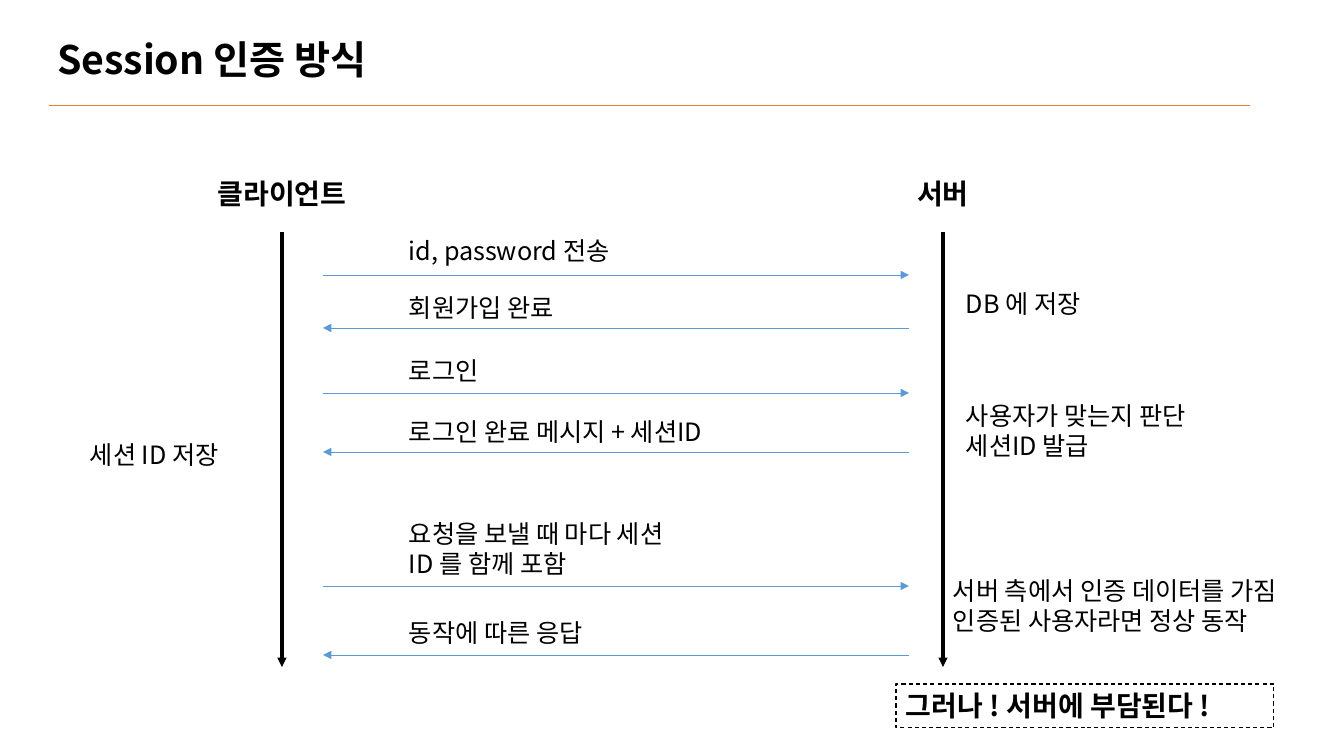
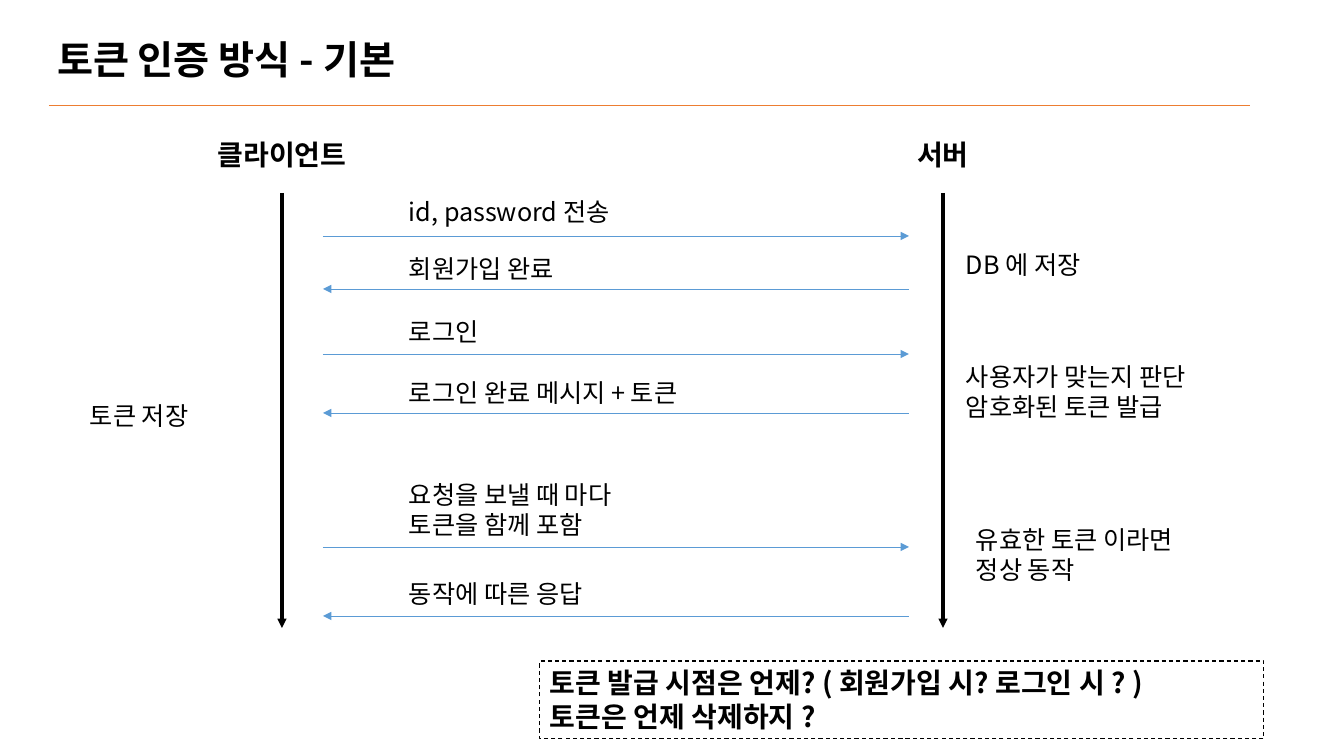
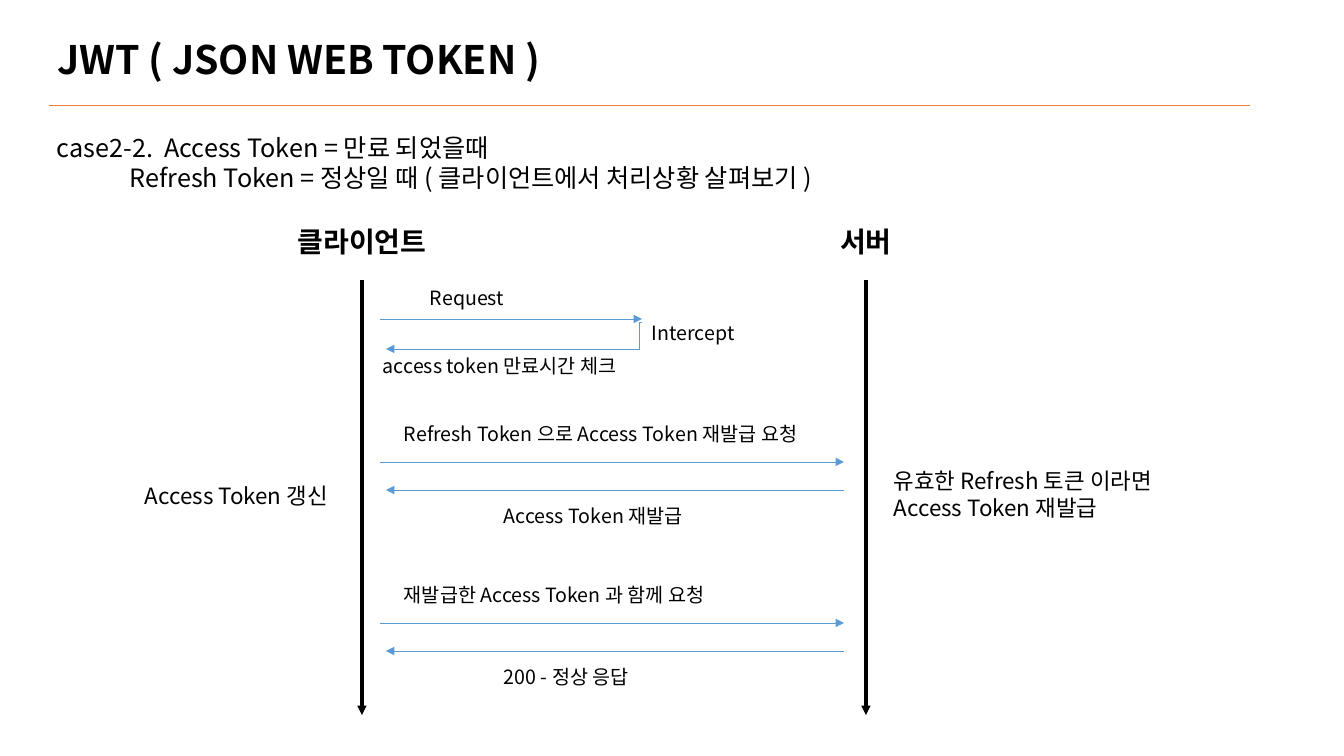
from lxml import etree
from pptx import Presentation
from pptx.dml.color import RGBColor
from pptx.enum.dml import MSO_LINE
from pptx.enum.shapes import MSO_CONNECTOR, MSO_SHAPE
from pptx.enum.text import MSO_ANCHOR, MSO_AUTO_SIZE, PP_ALIGN
from pptx.oxml.ns import qn
from pptx.util import Emu, Pt

STRAIGHT, ELBOW = MSO_CONNECTOR.STRAIGHT, MSO_CONNECTOR.ELBOW
LEFT, CENTER = PP_ALIGN.LEFT, PP_ALIGN.CENTER
TOP = MSO_ANCHOR.TOP
GROW, FIXED = MSO_AUTO_SIZE.SHAPE_TO_FIT_TEXT, MSO_AUTO_SIZE.NONE
RECTANGLE = MSO_SHAPE.RECTANGLE
DASH = MSO_LINE.DASH

EMU_PER_PIXEL = 914400 / 100.8
FONT = "Noto Sans CJK KR"
BLACK, BLUE, ORANGE = "000000", "5B9BD5", "ED7D31"
TITLE_ONLY = 5
LINE_HEIGHTS = {14: 34, 16: 37, 18: 40, 20: 44}
HEADER_WIDTH = 236

# Login flow: lifelines, arrow ends, and each message as
# (arrow offset, text offset, text width), measured from the header top.
CLIENT_X, SERVER_X = 282, 943
ARROW_LEFT, ARROW_RIGHT = 323, 909
MESSAGE_X, NOTE_X = 399, 956
MESSAGE_ROWS = [(103, 58, 280), (156, 115, 247), (221, 178, 280),
                (280, 239, 380), (414, 341, 280), (483, 440, 380)]


def px(value):
    """Turn pixels into EMU."""
    return Emu(round(value * EMU_PER_PIXEL))


def color(code):
    """Turn a hex string into a colour."""
    return RGBColor.from_string(code)


def write(frame, text, size=18, bold=False, align=LEFT, fit=GROW, indent=0):
    """Fill a text frame, one paragraph a line; indent moves later lines."""
    frame.word_wrap = True
    frame.auto_size = fit
    frame.vertical_anchor = TOP
    for index, line in enumerate(text.split("\n")):
        para = frame.add_paragraph() if index else frame.paragraphs[0]
        para.alignment = align
        if index and indent:
            para._p.get_or_add_pPr().set("marL", str(px(indent)))
        span = para.add_run()
        span.text = line
        span.font.size = Pt(size)
        span.font.bold = bold
        span.font.color.rgb = color(BLACK)
        span.font.name = FONT
        properties = span._r.get_or_add_rPr()
        etree.SubElement(properties, qn("a:ea")).set("typeface", FONT)


def add_text(page, text, left, top, width, size=18, **style):
    """Add a text box as high as its lines need."""
    lines = text.count("\n")
    height = LINE_HEIGHTS[size] + lines * size * 1.7
    box = page.shapes.add_textbox(px(left), px(top), px(width), px(height))
    write(box.text_frame, text, size=size, **style)


def add_line(page, start, end, code=BLUE, weight=0.5, arrow=True, kind=STRAIGHT):
    """Add a line, with an arrowhead at its end unless told otherwise."""
    line = page.shapes.add_connector(kind, *map(px, start + end))
    line.line.color.rgb = color(code)
    line.line.width = Pt(weight)
    if arrow:
        outline = line.line._get_or_add_ln()
        etree.SubElement(outline, qn("a:tailEnd")).set("type", "triangle")
    etree.SubElement(line._element.spPr, qn("a:effectLst"))
    return line


def add_return_arrow(page, start, end, bend):
    """Add an elbow arrow that turns after the given share of its width."""
    line = add_line(page, start, end, kind=ELBOW)
    geometry = line._element.spPr.find(qn("a:prstGeom"))
    guides = geometry.find(qn("a:avLst"))
    if guides is None:
        guides = etree.SubElement(geometry, qn("a:avLst"))
    guide = etree.SubElement(guides, qn("a:gd"))
    guide.set("name", "adj1")
    guide.set("fmla", f"val {round(bend * 100000)}")


def add_page(deck, title):
    """Add a slide with its title and the orange rule below it."""
    page = deck.slides.add_slide(deck.slide_layouts[TITLE_ONLY])
    head = page.shapes.title
    head.left, head.top, head.width, head.height = map(px, (47, 30, 961, 57))
    write(head.text_frame, title, size=28, bold=True, fit=FIXED)
    add_line(page, (49, 105), (1250, 105), code=ORANGE, arrow=False)
    return page


def add_lifelines(page, top, client_x, server_x):
    """Add the two named time lines."""
    for name, x in (("클라이언트", client_x), ("서버", server_x)):
        add_text(page, name, x - HEADER_WIDTH / 2, top, HEADER_WIDTH,
                 size=20, bold=True, align=CENTER)
        add_line(page, (x, top + 60), (x, top + 495), code=BLACK, weight=2.25)


def add_login_flow(page, top, login_reply, request, issue, stored):
    """Add sign-up, login and request messages between client and server."""
    add_lifelines(page, top, CLIENT_X, SERVER_X)
    messages = ["id, password 전송", "회원가입 완료", "로그인",
                login_reply, request, "동작에 따른 응답"]
    for index, (text, row) in enumerate(zip(messages, MESSAGE_ROWS)):
        arrow, text_top, width = row
        ends = [(ARROW_LEFT, top + arrow), (ARROW_RIGHT, top + arrow)]
        if index % 2:
            ends.reverse()
        add_line(page, *ends)
        add_text(page, text, MESSAGE_X, top + text_top, width)
    add_text(page, "DB 에 저장", NOTE_X, top + 111, 232)
    add_text(page, "사용자가 맞는지 판단\n" + issue, NOTE_X, top + 223, 308)
    add_text(page, stored, 80, top + 262, 179)


def add_remark(page, text, left, top, width, height):
    """Add a bold remark in a dashed frame."""
    box = page.shapes.add_shape(RECTANGLE, *map(px, (left, top, width, height)))
    box.shadow.inherit = False
    box.fill.background()
    box.line.color.rgb = color(BLACK)
    box.line.width = Pt(0.75)
    box.line.dash_style = DASH
    write(box.text_frame, text, size=20, bold=True)


def build_session(deck):
    """Build the session slide."""
    page = add_page(deck, "Session 인증 방식")
    add_login_flow(page, 172, "로그인 완료 메시지 + 세션ID",
                   "요청을 보낼 때 마다 세션 ID 를 함께 포함",
                   "세션ID 발급", "세션 ID 저장")
    add_text(page, "서버 측에서 인증 데이터를 가짐\n인증된 사용자라면 정상 동작",
             943, 570, 413)
    add_remark(page, "그러나 ! 서버에 부담된다 !", 896, 684, 378, 44)


def build_token(deck):
    """Build the basic token slide."""
    page = add_page(deck, "토큰 인증 방식 - 기본")
    add_login_flow(page, 133, "로그인 완료 메시지 + 토큰",
                   "요청을 보낼 때 마다 토큰을 함께 포함",
                   "암호화된 토큰 발급", "토큰 저장")
    add_text(page, "유효한 토큰 이라면\n정상 동작", 966, 519, 413)
    add_remark(page, "토큰 발급 시점은 언제? ( 회원가입 시? 로그인 시 ? )\n"
               "토큰은 언제 삭제하지 ?", 540, 661, 724, 78)


def build_jwt(deck):
    """Build the token renewal slide."""
    page = add_page(deck, "JWT ( JSON WEB TOKEN )")
    add_text(page, "case2-2.  Access Token = 만료 되었을때\n"
             "Refresh Token = 정상일 때 ( 클라이언트에서 처리상황 살펴보기 )",
             47, 127, 1001, indent=73)
    add_lifelines(page, 220, 362, 866)

    add_line(page, (380, 319), (642, 319))
    add_return_arrow(page, (642, 322), (386, 349), 0.01)
    add_text(page, "Request", 420, 281, 328, size=14)
    add_text(page, "Intercept", 642, 316, 328, size=14)
    add_text(page, "access token 만료시간 체크", 373, 349, 337, size=14)

    exchanges = [("Refresh Token 으로 Access Token 재발급 요청", "Access Token 재발급"),
                 ("재발급한 Access Token 과 함께 요청", "200 - 정상 응답")]
    for index, (request, reply) in enumerate(exchanges):
        top = 417 + 161 * index
        add_line(page, (380, top + 45), (844, top + 45))
        add_line(page, (844, top + 73), (386, top + 73))
        add_text(page, request, 394, top, 433, size=14)
        add_text(page, reply, 494, top + 82, 433, size=14)

    add_text(page, "유효한 Refresh 토큰 이라면\nAccess Token 재발급", 884, 462, 413, size=16)
    add_text(page, "Access Token 갱신", 135, 477, 413, size=16)


def main():
    """Build and save the deck."""
    deck = Presentation()
    deck.slide_width, deck.slide_height = px(1344), px(756)
    build_session(deck)
    build_token(deck)
    build_jwt(deck)
    deck.save("out.pptx")


main()
